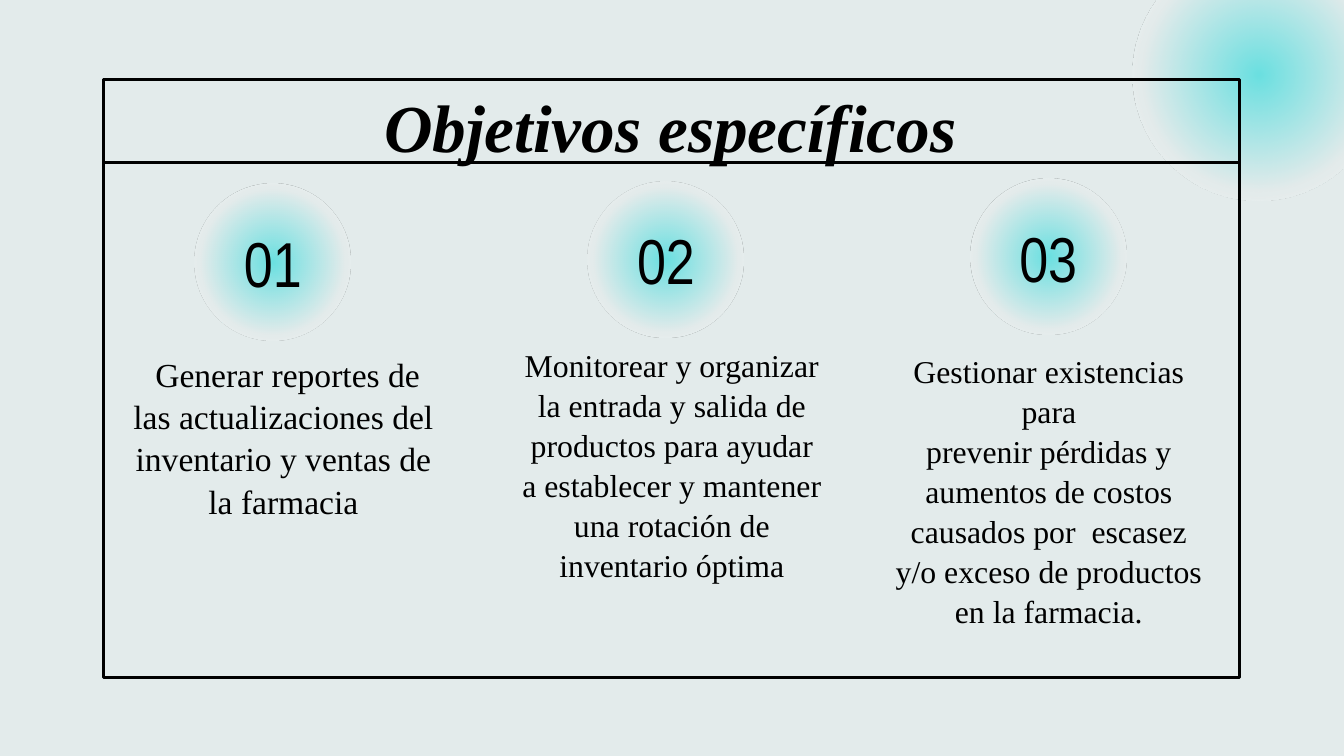
from lxml import etree
from pptx import Presentation
from pptx.dml.color import RGBColor
from pptx.enum.shapes import MSO_CONNECTOR, MSO_SHAPE
from pptx.enum.text import MSO_ANCHOR, PP_ALIGN
from pptx.oxml import parse_xml
from pptx.oxml.ns import nsdecls, qn
from pptx.util import Inches, Pt

THEME = {
    "background": "E3EBEB", "glow": "6AE0E1", "edge": "FFFFFF", "ink": "000000",
    "serif": "Times New Roman", "narrow": "Arial Narrow",
    "title": 36, "number": 34, "line": 1.5, "spacing": 1.05,
}

deck = Presentation()
deck.slide_width, deck.slide_height = Inches(10), Inches(5.625)
page = deck.slides.add_slide(deck.slide_layouts[6])
page.background.fill.solid()
page.background.fill.fore_color.rgb = RGBColor.from_string(THEME["background"])

# Grid of 100 columns by 56.25 rows
COLUMN = deck.slide_width / 100
ROW = deck.slide_height / 56.25


def add_disc(center_column, center_row, size):
    """Circle that fades from the glow colour into the background."""
    disc = page.shapes.add_shape(
        MSO_SHAPE.OVAL, int((center_column - size / 2) * COLUMN),
        int((center_row - size / 2) * ROW), int(size * COLUMN), int(size * ROW))
    disc.shadow.inherit = False
    disc.line.fill.background()
    disc.fill.background()
    properties = disc._element.spPr
    gradient = parse_xml(
        f'<a:gradFill {nsdecls("a")}><a:gsLst>'
        f'<a:gs pos="0"><a:srgbClr val="{THEME["glow"]}"/></a:gs>'
        f'<a:gs pos="65000"><a:srgbClr val="{THEME["background"]}"/></a:gs>'
        f'<a:gs pos="100000"><a:srgbClr val="{THEME["edge"]}"><a:alpha val="0"/></a:srgbClr></a:gs>'
        '</a:gsLst><a:path path="circle">'
        '<a:fillToRect l="50000" t="50000" r="50000" b="50000"/></a:path></a:gradFill>')
    properties.replace(properties.find(qn("a:noFill")), gradient)


def add_text(text, *, left, top, width, height, size, font, bold=False, italic=False, spacing=1.0):
    """Centred text box, one paragraph per line of text."""
    box = page.shapes.add_textbox(int(left * COLUMN), int(top * ROW),
                                  int(width * COLUMN), int(height * ROW))
    frame = box.text_frame
    frame.word_wrap = True
    frame.vertical_anchor = MSO_ANCHOR.MIDDLE
    frame.margin_left = frame.margin_right = int(COLUMN)
    frame.margin_top = frame.margin_bottom = int(ROW)
    frame.text = text
    for para in frame.paragraphs:
        para.alignment = PP_ALIGN.CENTER
        para.line_spacing = spacing
        for span in para.runs:
            span.font.name, span.font.size = font, Pt(size)
            span.font.bold, span.font.italic = bold, italic
            span.font.color.rgb = RGBColor.from_string(THEME["ink"])


# Corner glow
add_disc(93.65, 5.55, 18.7)

# Frame and the rule under the title
frame_box = page.shapes.add_shape(MSO_SHAPE.RECTANGLE, int(7.7 * COLUMN), int(5.9 * ROW),
                                  int(84.5 * COLUMN), int(44.5 * ROW))
frame_box.shadow.inherit = False
frame_box.fill.background()
title_rule = page.shapes.add_connector(MSO_CONNECTOR.STRAIGHT, int(7.8 * COLUMN), int(12.1 * ROW),
                                       int(92.3 * COLUMN), int(12.1 * ROW))
etree.SubElement(title_rule._element.spPr, qn("a:effectLst"))
for outline in (frame_box.line, title_rule.line):
    outline.color.rgb = RGBColor.from_string(THEME["ink"])
    outline.width = Pt(THEME["line"])

# Title
add_text("Objetivos específicos", left=7.8, top=5.9, width=84.2, height=6.9,
         size=THEME["title"], font=THEME["serif"], bold=True, italic=True)

# Objectives: disc centre (column, row), then text box and type size
objectives = [
    (20.3, 19.5, (8.8, 25.4, 24.6, 14.1), 18,
     " Generar reportes de las actualizaciones del inventario y ventas de la farmacia"),
    (49.55, 19.3, (37.7, 24.9, 24.6, 19.2), 17,
     "Monitorear y organizar la entrada y salida de productos para ayudar "
     "a establecer y mantener una rotación de inventario óptima"),
    (78, 19.1, (65.2, 25.4, 25.7, 22.1), 17,
     "Gestionar existencias para\nprevenir pérdidas y aumentos de costos "
     "causados por  escasez y/o exceso de productos en la farmacia."),
]
for number, (column, row, area, size, text) in enumerate(objectives, start=1):
    add_disc(column, row, 11.6)
    add_text(f"{number:02}", left=column - 4.4, top=row - 2.15, width=8.8, height=4.3,
             size=THEME["number"], font=THEME["narrow"])
    left, top, width, height = area
    add_text(text, left=left, top=top, width=width, height=height,
             size=size, font=THEME["serif"], spacing=THEME["spacing"])

deck.save("out.pptx")
